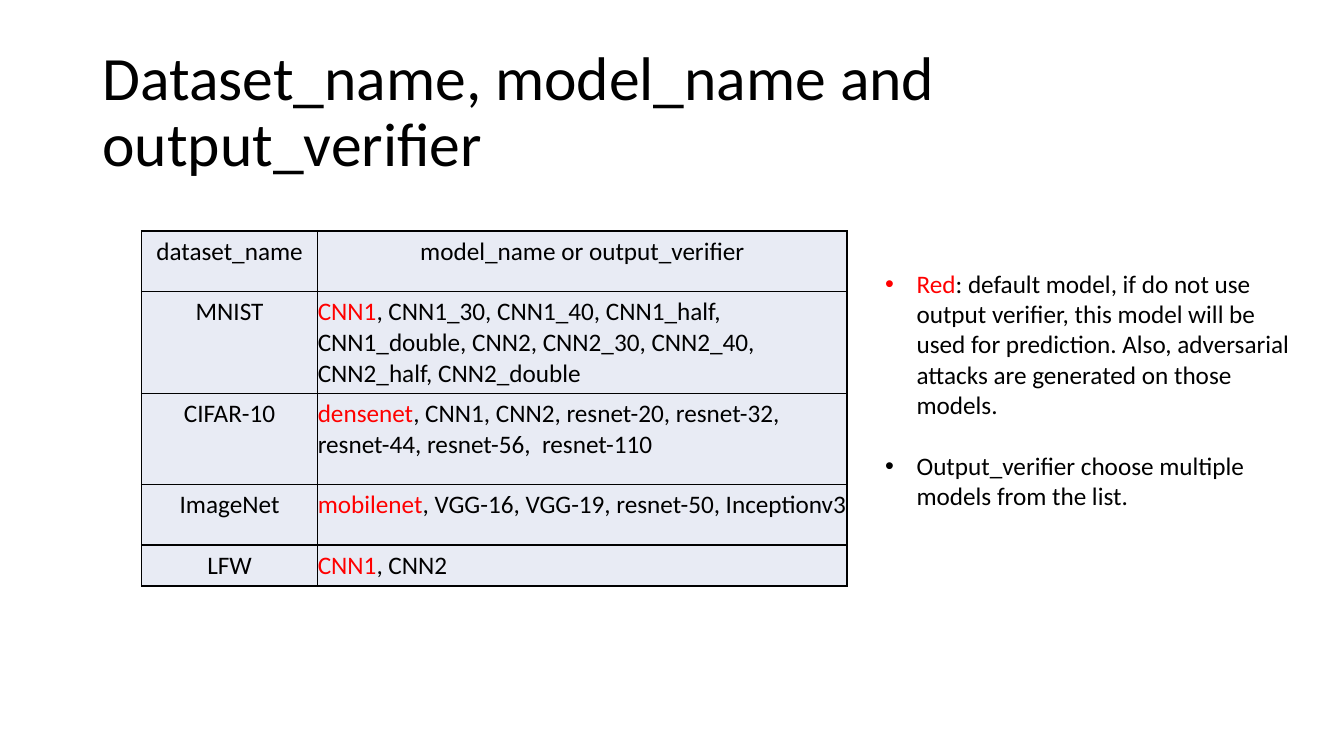
"""Build a slide listing the models available for each dataset."""
from lxml.etree import SubElement
from pptx import Presentation
from pptx.dml.color import RGBColor
from pptx.enum.text import MSO_ANCHOR, MSO_AUTO_SIZE, PP_ALIGN
from pptx.oxml import parse_xml
from pptx.oxml.ns import nsdecls, qn
from pptx.util import Pt

FONT = "Calibri"
COLORS = {"text": "000000", "default": "FF0000", "cell": "E8EBF4", "border": "000000"}
HEADER = ("dataset_name", "model_name or output_verifier")
MODELS = [
    ("MNIST", "CNN1", ", CNN1_30, CNN1_40, CNN1_half, CNN1_double, CNN2, "
     "CNN2_30, CNN2_40, CNN2_half, CNN2_double"),
    ("CIFAR-10", "densenet", ", CNN1, CNN2, resnet-20, resnet-32, resnet-44, "
     "resnet-56,  resnet-110"),
    ("ImageNet", "mobilenet", ", VGG-16, VGG-19, resnet-50, Inceptionv3"),
    ("LFW", "CNN1", ", CNN2"),
]
NOTES = [
    ("Red", ": default model, if do not use output verifier, this model will be used "
     "for prediction. Also, adversarial attacks are generated on those models."),
    ("", "Output_verifier choose multiple models from the list."),
]
COLUMN_WIDTHS = (126, 378)
ROW_HEIGHTS = (43.2, 64.8, 64.8, 43.2, 21.6)


def place(placeholder, left, top, width, height, anchor):
    placeholder.left, placeholder.top = Pt(left), Pt(top)
    placeholder.width, placeholder.height = Pt(width), Pt(height)
    placeholder.text_frame.auto_size = MSO_AUTO_SIZE.NONE
    placeholder.text_frame.vertical_anchor = anchor


def write(paragraph, highlight, text, size=18, align=PP_ALIGN.LEFT):
    paragraph.alignment = align
    paragraph.font.name = FONT
    paragraph.font.size = Pt(size)
    paragraph.font.color.rgb = RGBColor.from_string(COLORS["text"])
    if highlight:
        run = paragraph.add_run()
        run.text = highlight
        run.font.color.rgb = RGBColor.from_string(COLORS["default"])
    paragraph.add_run().text = text


def add_bullet(paragraph, color, indent=22.5):
    properties = paragraph._p.get_or_add_pPr()
    properties.set("marL", str(Pt(indent)))
    properties.set("indent", str(-Pt(indent)))
    bullet_color = SubElement(properties, qn("a:buClr"))
    SubElement(bullet_color, qn("a:srgbClr"), val=color)
    SubElement(properties, qn("a:buFont"), typeface="Arial")
    SubElement(properties, qn("a:buChar"), char="•")


def style_cell(cell):
    cell.margin_left = cell.margin_right = 0
    cell.margin_top = cell.margin_bottom = Pt(3.6)
    cell.fill.solid()
    cell.fill.fore_color.rgb = RGBColor.from_string(COLORS["cell"])
    properties = cell._tc.get_or_add_tcPr()
    for position, side in enumerate(("lnL", "lnR", "lnT", "lnB")):
        properties.insert(position, parse_xml(
            f'<a:{side} {nsdecls("a")} w="{Pt(0.96)}"><a:solidFill>'
            f'<a:srgbClr val="{COLORS["border"]}"/></a:solidFill></a:{side}>'))


def add_title(slide):
    title = slide.shapes.title
    place(title, 66, 28.8, 828, 104.4, MSO_ANCHOR.MIDDLE)
    heading = title.text_frame.paragraphs[0]
    heading.line_spacing = 0.9
    write(heading, "", "Dataset_name, model_name and output_verifier", size=44)


def add_notes_list(slide):
    body = slide.placeholders[1]
    place(body, 625, 188, 310.3, 201.6, MSO_ANCHOR.TOP)
    frame = body.text_frame
    for index, (highlight, text) in enumerate(NOTES):
        paragraph = frame.add_paragraph() if index else frame.paragraphs[0]
        add_bullet(paragraph, COLORS["default" if highlight else "text"])
        paragraph.space_before = Pt(22 if index else 0)
        write(paragraph, highlight, text)


def add_model_table(slide):
    table = slide.shapes.add_table(
        len(ROW_HEIGHTS), len(COLUMN_WIDTHS), Pt(101), Pt(165),
        Pt(sum(COLUMN_WIDTHS)), Pt(sum(ROW_HEIGHTS))).table
    table.first_row = table.horz_banding = False
    for column, width in zip(table.columns, COLUMN_WIDTHS):
        column.width = Pt(width)
    for row, height in zip(table.rows, ROW_HEIGHTS):
        row.height = Pt(height)
    for cell in table.iter_cells():
        style_cell(cell)
    for column, label in enumerate(HEADER):
        write(table.cell(0, column).text_frame.paragraphs[0], "", label,
              align=PP_ALIGN.CENTER)
    for row, (dataset, default, others) in enumerate(MODELS, start=1):
        write(table.cell(row, 0).text_frame.paragraphs[0], "", dataset,
              align=PP_ALIGN.CENTER)
        write(table.cell(row, 1).text_frame.paragraphs[0], default, others)


def main():
    presentation = Presentation()
    presentation.slide_width, presentation.slide_height = Pt(960), Pt(540)
    slide = presentation.slides.add_slide(presentation.slide_layouts[1])
    add_title(slide)
    add_notes_list(slide)
    add_model_table(slide)
    presentation.save("out.pptx")


if __name__ == "__main__":
    main()
